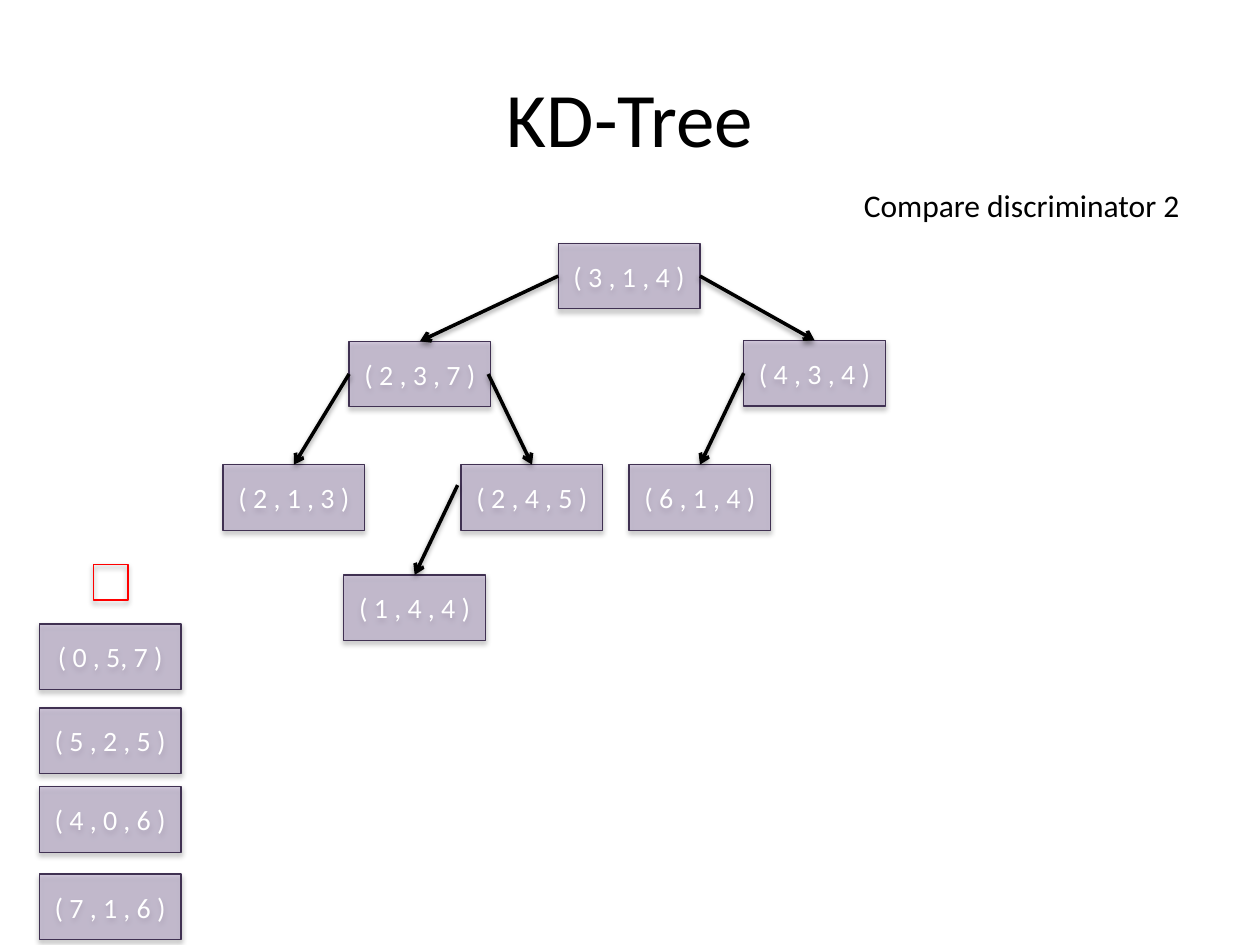
from lxml.etree import SubElement
from pptx import Presentation
from pptx.dml.color import RGBColor
from pptx.enum.shapes import MSO_CONNECTOR, MSO_SHAPE
from pptx.enum.text import MSO_ANCHOR, MSO_AUTO_SIZE, PP_ALIGN
from pptx.oxml.ns import qn
from pptx.util import Pt

BLACK = RGBColor(0x00, 0x00, 0x00)
WHITE = RGBColor(0xFF, 0xFF, 0xFF)
RED = RGBColor(0xFF, 0x00, 0x00)
LILAC = RGBColor(0xB3, 0xA2, 0xC7)
PURPLE = RGBColor(0x40, 0x31, 0x52)

BOX_W, BOX_H = 81, 37.5
NODES = {
    "( 3 , 1 , 4 )": (319, 139),
    "( 4 , 3 , 4 )": (425, 194.5),
    "( 2 , 3 , 7 )": (199.5, 195),
    "( 2 , 1 , 3 )": (127.5, 265.5),
    "( 2 , 4 , 5 )": (263.5, 265.5),
    "( 6 , 1 , 4 )": (359.5, 265.5),
    "( 1 , 4 , 4 )": (196.5, 328.5),
}
QUEUE_X = 22.5
QUEUE = {
    "( 0 , 5, 7 )": 356.5,
    "( 5 , 2 , 5 )": 404.5,
    "( 4 , 0 , 6 )": 449.5,
    "( 7 , 1 , 6 )": 499.5,
}
EDGES = [
    ("( 3 , 1 , 4 )", "( 2 , 3 , 7 )", (0, 0)),
    ("( 3 , 1 , 4 )", "( 4 , 3 , 4 )", (0, 0)),
    ("( 2 , 3 , 7 )", "( 2 , 1 , 3 )", (0, 0)),
    ("( 2 , 3 , 7 )", "( 2 , 4 , 5 )", (-1.5, 0)),
    ("( 4 , 3 , 4 )", "( 6 , 1 , 4 )", (0, 0)),
    ("( 2 , 4 , 5 )", "( 1 , 4 , 4 )", (-2, -7)),
]


class SlideBuilder:
    """Hold the style and the current slide, and add each kind of element."""

    font = "Calibri"

    def __init__(self, prs):
        self.slide = prs.slides.add_slide(prs.slide_layouts[5])

    def put_text(self, sp, text, size, color, align, **frame):
        tf = sp.text_frame
        for name, value in frame.items():
            setattr(tf, name, value)
        p = tf.paragraphs[0]
        p.alignment = align
        r = p.add_run()
        r.text = text
        for name, value in {"name": self.font, "size": Pt(size)}.items():
            setattr(r.font, name, value)
        r.font.color.rgb = color

    def shadow(self, sp, alpha, dist):
        effects = SubElement(sp._element.spPr, qn("a:effectLst"))
        values = {"blurRad": Pt(3.1), "dist": Pt(dist), "dir": 90 * 60000, "rotWithShape": 0}
        outer = SubElement(effects, qn("a:outerShdw"), {k: str(v) for k, v in values.items()})
        color = SubElement(outer, qn("a:srgbClr"), val=str(BLACK))
        SubElement(color, qn("a:alpha"), val=str(alpha * 1000))

    def title(self, text, x, y, w, h):
        sp = self.slide.shapes.title
        for name, value in {"left": x, "top": y, "width": w, "height": h}.items():
            setattr(sp, name, Pt(value))
        self.put_text(sp, text, 44, BLACK, PP_ALIGN.CENTER, vertical_anchor=MSO_ANCHOR.MIDDLE)

    def label(self, text, x, y, w, h):
        sp = self.slide.shapes.add_textbox(Pt(x), Pt(y), Pt(w), Pt(h))
        self.put_text(sp, text, 18, BLACK, PP_ALIGN.LEFT, word_wrap=False,
                      auto_size=MSO_AUTO_SIZE.SHAPE_TO_FIT_TEXT)

    def rect(self, x, y, w, h, line, weight, fill=None):
        sp = self.slide.shapes.add_shape(MSO_SHAPE.RECTANGLE, Pt(x), Pt(y), Pt(w), Pt(h))
        if fill is None:
            sp.fill.background()
        else:
            sp.fill.solid()
            sp.fill.fore_color.rgb = fill
            color = sp._element.spPr.find(qn("a:solidFill"))[0]
            SubElement(color, qn("a:alpha"), val="52000")
        sp.line.color.rgb = line
        sp.line.width = Pt(weight)
        self.shadow(sp, 35, 1.8)
        return sp

    def node(self, text, x, y):
        sp = self.rect(x, y, BOX_W, BOX_H, PURPLE, 0.75, LILAC)
        self.put_text(sp, text, 16, WHITE, PP_ALIGN.CENTER, vertical_anchor=MSO_ANCHOR.MIDDLE)

    def edge(self, parent, child, shift):
        (px, py), (cx, cy), (dx, dy) = NODES[parent], NODES[child], shift
        side = BOX_W if cx > px else 0
        ends = px + side + dx, py + BOX_H / 2 + dy, cx + BOX_W / 2, cy
        sp = self.slide.shapes.add_connector(MSO_CONNECTOR.STRAIGHT, *map(Pt, ends))
        sp.line.color.rgb = BLACK
        sp.line.width = Pt(2)
        SubElement(sp._element.spPr.find(qn("a:ln")), qn("a:tailEnd"), type="arrow")
        self.shadow(sp, 38, 1.6)


def main():
    prs = Presentation()
    prs.slide_width, prs.slide_height = Pt(720), Pt(540)
    s = SlideBuilder(prs)
    s.title("KD-Tree", 36, 21.6, 648, 90)
    for text, (x, y) in NODES.items():
        s.node(text, x, y)
    for text, y in QUEUE.items():
        s.node(text, QUEUE_X, y)
    s.rect(53.5, 322.5, 19.5, 20.5, RED, 1)
    for parent, child, shift in EDGES:
        s.edge(parent, child, shift)
    s.label("Compare discriminator 2", 486.5, 103, 197.5, 29)
    prs.save("out.pptx")


if __name__ == "__main__":
    main()
